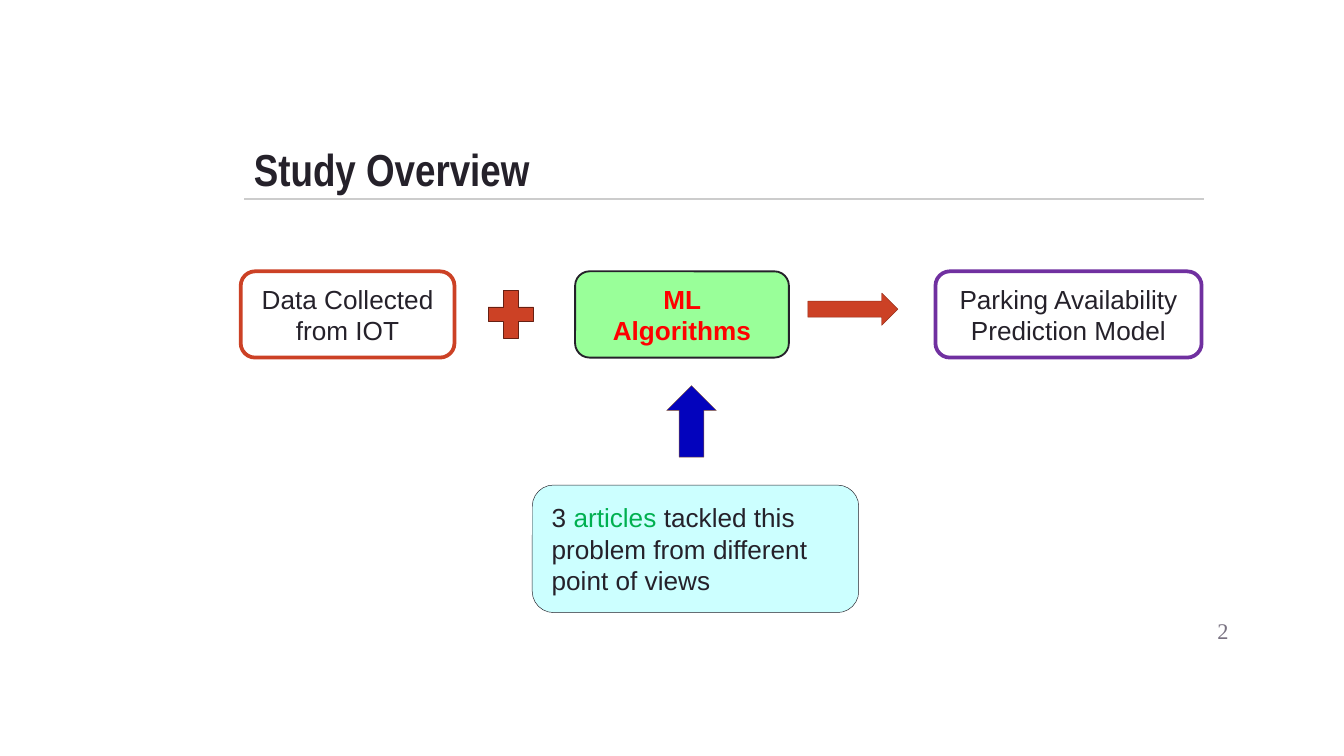
from lxml.etree import SubElement
from pptx import Presentation
from pptx.dml.color import RGBColor
from pptx.enum.shapes import MSO_CONNECTOR, MSO_SHAPE as Preset
from pptx.enum.text import MSO_ANCHOR as Anchor, PP_ALIGN as Align
from pptx.oxml.ns import qn
from pptx.util import Cm, Pt

INK = RGBColor(0x25, 0x21, 0x2A)
GREY = RGBColor(0x79, 0x72, 0x81)
RULE_GREY = RGBColor(0xCC, 0xCC, 0xCC)
WHITE = RGBColor(0xFF, 0xFF, 0xFF)
RUST = RGBColor(0xCC, 0x41, 0x25)
DARK_RUST = RGBColor(0x97, 0x30, 0x1B)
MAROON = RGBColor(0x66, 0x20, 0x13)
BROWN = RGBColor(0x88, 0x57, 0x35)
PURPLE = RGBColor(0x70, 0x30, 0xA0)
RED = RGBColor(0xFF, 0x00, 0x00)
GREEN = RGBColor(0x00, 0xB0, 0x50)
BLUE = RGBColor(0x03, 0x03, 0xBD)
PALE_GREEN = RGBColor(0x99, 0xFF, 0x99)
PALE_CYAN = RGBColor(0xCC, 0xFF, 0xFF)

ROW_TOP, ROW_HEIGHT = 5.13, 1.63


def write_text(shape, runs, size, font_name="Arial", bold=False,
               align=Align.LEFT, anchor=Anchor.MIDDLE):
    frame = shape.text_frame
    frame.word_wrap = True
    frame.vertical_anchor = anchor
    paragraph = frame.paragraphs[0]
    paragraph.alignment = align
    for text, color in runs:
        run = paragraph.add_run()
        run.text = text
        run.font.name = font_name
        run.font.size = Pt(size)
        run.font.bold = bold
        run.font.color.rgb = color


def add_label(slide, box, runs, size, font_name, **style):
    label = slide.shapes.add_textbox(*map(Cm, box))
    frame = label.text_frame
    frame.margin_left = frame.margin_right = Cm(0.25)
    frame.margin_top = frame.margin_bottom = Cm(0.25)
    write_text(label, runs, size, font_name, **style)


def add_figure(slide, preset, box, fill, line, line_width=0.25):
    shape = slide.shapes.add_shape(preset, *map(Cm, box))
    shape.shadow.inherit = False
    shape.fill.solid()
    shape.fill.fore_color.rgb = fill
    shape.line.color.rgb = line
    shape.line.width = Pt(line_width)
    return shape


def add_step(slide, left, width, text, fill, line, line_width, color=INK, bold=False):
    box = (left, ROW_TOP, width, ROW_HEIGHT)
    shape = add_figure(slide, Preset.ROUNDED_RECTANGLE, box, fill, line, line_width)
    write_text(shape, [(text, color)], 14, bold=bold, align=Align.CENTER)


def add_rule(slide, left, right, top):
    rule = slide.shapes.add_connector(
        MSO_CONNECTOR.STRAIGHT, Cm(left), Cm(top), Cm(right), Cm(top))
    rule.line.color.rgb = RULE_GREY
    rule.line.width = Pt(0.75)
    SubElement(rule._element.spPr, qn("a:effectLst"))


def main():
    presentation = Presentation()
    presentation.slide_width = Cm(25.4)
    presentation.slide_height = Cm(14.29)
    slide = presentation.slides.add_slide(presentation.slide_layouts[6])

    add_rule(slide, 4.62, 22.76, 3.76)
    add_label(slide, (4.55, 1.98, 18.39, 1.96), [("Study Overview", INK)], 24,
              "Arial Narrow", bold=True, anchor=Anchor.BOTTOM)
    add_label(slide, (21.95, 11.38, 1.52, 1.09), [("2", GREY)], 12,
              "Times New Roman", align=Align.RIGHT)

    add_step(slide, 4.55, 4.04, "Data Collected from IOT", WHITE, RUST, 2)
    add_step(slide, 10.87, 4.04, "ML Algorithms", PALE_GREEN, INK, 1, RED, True)
    add_step(slide, 17.68, 5.03, "Parking Availability Prediction Model",
             WHITE, PURPLE, 2)

    add_figure(slide, Preset.MATH_PLUS, (9.07, 5.33, 1.17, 1.22), RUST, MAROON)
    add_figure(slide, Preset.RIGHT_ARROW, (15.27, 5.54, 1.7, 0.61), RUST, DARK_RUST)
    add_figure(slide, Preset.UP_ARROW, (12.6, 7.29, 0.94, 1.35), BLUE, BROWN)

    articles = add_figure(slide, Preset.ROUNDED_RECTANGLE,
                          (10.06, 9.17, 6.17, 2.41), PALE_CYAN, INK)
    write_text(articles, [
        ("3 ", INK),
        ("articles", GREEN),
        (" tackled this problem from different point of views", INK),
    ], 14)

    presentation.save("out.pptx")


if __name__ == "__main__":
    main()
